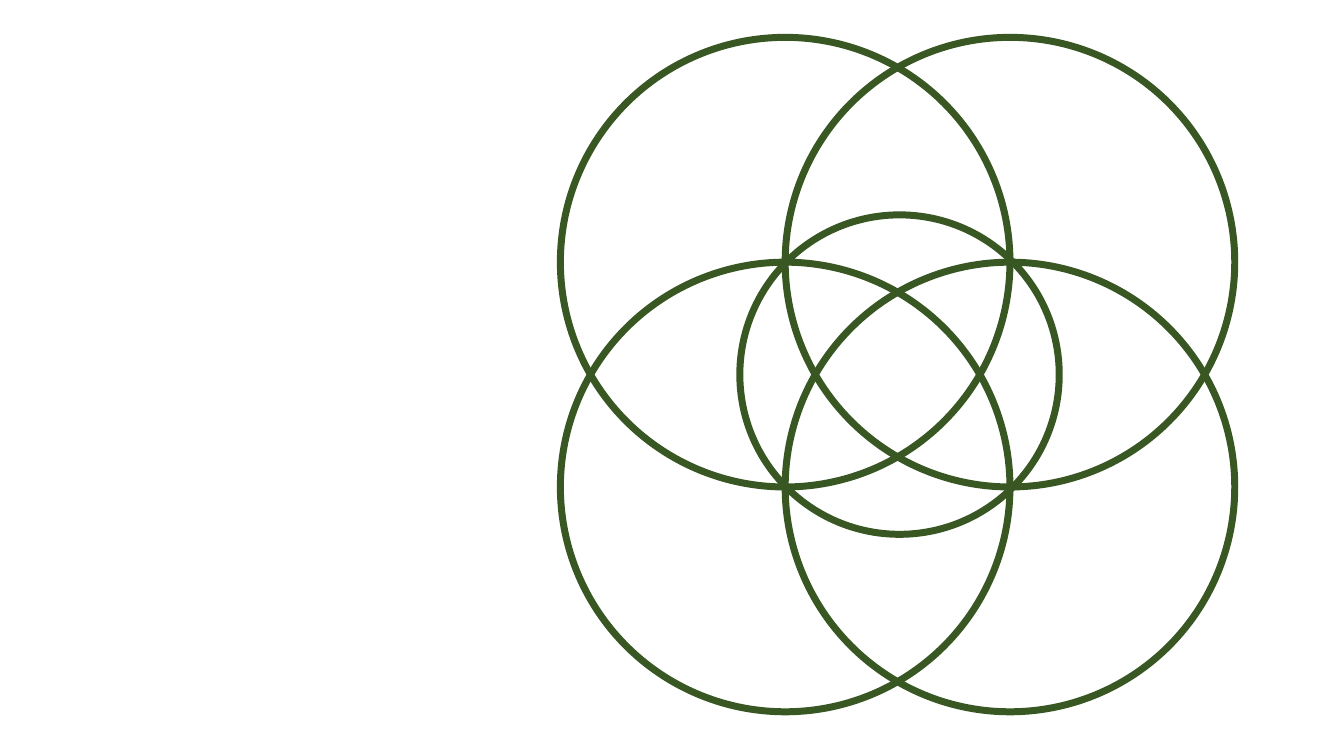
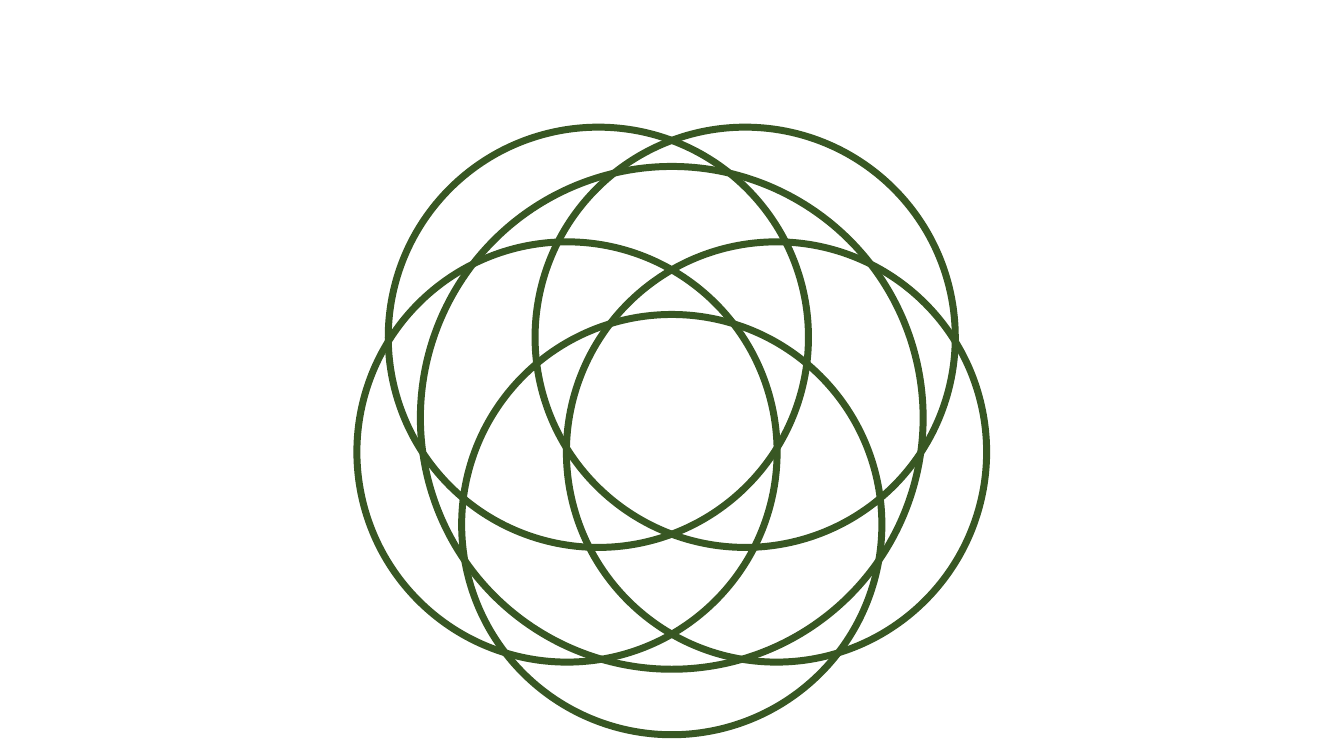
from pptx import Presentation
from pptx.dml.color import RGBColor
from pptx.enum.shapes import MSO_SHAPE
from pptx.util import Cm, Pt

DARK_GREEN = RGBColor(0x38, 0x57, 0x23)
BLANK_LAYOUT = 6


class CircleDeck:
    """Draws outlined circles, alone or in groups, on the current slide."""

    line_color = DARK_GREEN
    line_width = Pt(5)

    def __init__(self):
        self.presentation = Presentation()
        self.presentation.slide_width = Cm(33.87)
        self.presentation.slide_height = Cm(19.05)
        self.slide = None

    def add_slide(self):
        layout = self.presentation.slide_layouts[BLANK_LAYOUT]
        self.slide = self.presentation.slides.add_slide(layout)

    def add_circle(self, center, diameter, group=None):
        x, y = center
        shapes = (group or self.slide).shapes
        circle = shapes.add_shape(
            MSO_SHAPE.OVAL,
            Cm(x - diameter / 2), Cm(y - diameter / 2),
            Cm(diameter), Cm(diameter),
        )
        circle.shadow.inherit = False
        circle.fill.background()
        circle.line.color.rgb = self.line_color
        circle.line.width = self.line_width

    def add_circle_group(self, centers, diameter):
        group = self.slide.shapes.add_group_shape()
        for center in centers:
            self.add_circle(center, diameter, group)

    def save(self):
        self.presentation.save("out.pptx")


def build_four_circles(deck):
    deck.add_slide()
    diameter = 11.33
    middle_x, middle_y = 22.62, 9.44
    offset = diameter / 4
    centers = [
        (middle_x + side * offset, middle_y + level * offset)
        for level in (1, -1)
        for side in (1, -1)
    ]
    deck.add_circle_group(centers, diameter)
    deck.add_circle((middle_x + 0.05, middle_y), 8.05)


def build_five_circles(deck):
    deck.add_slide()
    diameter = 10.59
    middle_x = 16.93
    for offset, center_y in ((1.85, 8.5), (2.64, 11.39)):
        centers = [(middle_x + side * offset, center_y) for side in (-1, 1)]
        deck.add_circle_group(centers, diameter)
    deck.add_circle((middle_x, 13.22), diameter)
    deck.add_circle((middle_x, 10.53), 12.67)


def main():
    deck = CircleDeck()
    build_four_circles(deck)
    build_five_circles(deck)
    deck.save()


if __name__ == "__main__":
    main()
